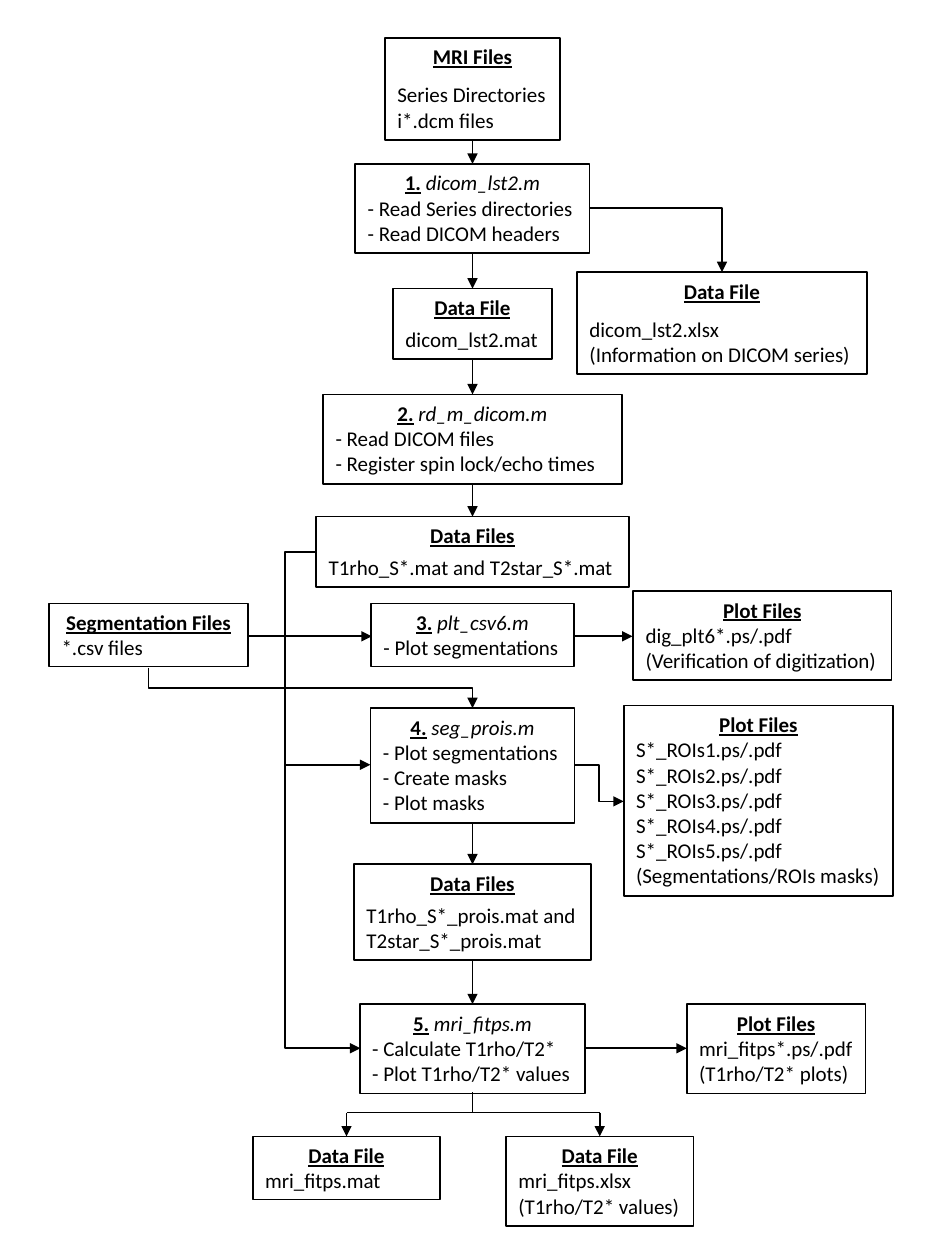
from pptx import Presentation
from pptx.dml.color import RGBColor
from pptx.enum.shapes import MSO_CONNECTOR as Link
from pptx.enum.text import MSO_ANCHOR, MSO_AUTO_SIZE, PP_ALIGN
from pptx.oxml.ns import qn
from pptx.util import Inches, Pt
from lxml.etree import SubElement

BLACK = RGBColor(0, 0, 0)
SPINE = 3.75
SMALL_GAP, WIDE_GAP = 3.7, 7.3

# heading, script name, lines, centre, top, width, height, gap after heading
MAIN_STEPS = [
    ("MRI Files", "", ["Series Directories", "i*.dcm files"], SPINE, 0.3, 1.39, 0.81, WIDE_GAP),
    ("1.", "dicom_lst2.m", ["- Read Series directories", "- Read DICOM headers"],
     SPINE, 1.3, 1.86, 0.71, 0),
    ("Data File", "", ["dicom_lst2.mat"], SPINE, 2.29, 1.26, 0.56, SMALL_GAP),
    ("2.", "rd_m_dicom.m", ["- Read DICOM files", "- Register spin lock/echo times"],
     SPINE, 3.13, 2.37, 0.71, 0),
    ("Data Files", "", ["T1rho_S*.mat and T2star_S*.mat"], SPINE, 4.1, 2.48, 0.56, SMALL_GAP),
    ("4.", "seg_prois.m", ["- Plot segmentations", "- Create masks", "- Plot masks"],
     SPINE, 5.62, 1.62, 0.91, 0),
    ("Data Files", "", ["T1rho_S*_prois.mat and", "T2star_S*_prois.mat"],
     SPINE, 6.86, 1.88, 0.76, SMALL_GAP),
    ("5.", "mri_fitps.m", ["- Calculate T1rho/T2*", "- Plot T1rho/T2* values"],
     SPINE, 7.97, 1.79, 0.71, 0),
]
SIDE_STEPS = [
    ("Data File", "", ["dicom_lst2.xlsx", "(Information on DICOM series)"],
     5.73, 2.16, 2.3, 0.81, WIDE_GAP),
    ("Segmentation Files", "", ["*.csv files"], 1.18, 4.79, 1.58, 0.5, 0),
    ("3.", "plt_csv6.m", ["- Plot segmentations"], SPINE, 4.79, 1.61, 0.5, 0),
    ("Plot Files", "", ["dig_plt6*.ps/.pdf", "(Verification of digitization)"],
     6.05, 4.69, 2.05, 0.71, 0),
    ("Plot Files", "", [f"S*_ROIs{n}.ps/.pdf" for n in range(1, 6)]
     + ["(Segmentations/ROIs masks)"], 6.02, 5.6, 2.14, 1.51, 0),
    ("Plot Files", "", ["mri_fitps*.ps/.pdf", "(T1rho/T2* plots)"], 6.16, 7.97, 1.42, 0.71, 0),
    ("Data File", "", ["mri_fitps.xlsx", "(T1rho/T2* values)"], 4.76, 9.02, 1.49, 0.71, 0),
    ("Data File", "", ["mri_fitps.mat"], 2.75, 9.02, 1.49, 0.5, 0),
]


def write(paragraph, text, bold=False, underline=False, italic=False):
    """Append one formatted run to a paragraph."""
    run = paragraph.add_run()
    run.text = text
    font = run.font
    font.name, font.size, font.color.rgb = "Calibri", Pt(12), BLACK
    font.bold, font.underline, font.italic = bold, underline, italic


def add_step(slide, heading, script, lines, centre, top, width, height, gap):
    """Add an outlined box with a centred heading and left-aligned lines."""
    step = slide.shapes.add_textbox(Inches(centre - width / 2), Inches(top),
                                    Inches(width), Inches(height))
    step.line.color.rgb, step.line.width = BLACK, Pt(1)
    frame = step.text_frame
    frame.word_wrap = False
    frame.auto_size = MSO_AUTO_SIZE.SHAPE_TO_FIT_TEXT
    frame.vertical_anchor = MSO_ANCHOR.TOP
    title = frame.paragraphs[0]
    title.alignment, title.space_after = PP_ALIGN.CENTER, Pt(gap)
    write(title, heading, bold=True, underline=True)
    if script:
        write(title, " " + script, italic=True)
    for line in lines:
        paragraph = frame.add_paragraph()
        paragraph.alignment = PP_ALIGN.LEFT
        write(paragraph, line)


def add_line(slide, start, end, kind=Link.STRAIGHT, arrow=True):
    """Add a black connector, with an arrowhead at its end by default."""
    link = slide.shapes.add_connector(kind, *map(Inches, start + end))
    link.line.color.rgb, link.line.width = BLACK, Pt(1)
    if arrow:
        SubElement(link.line._get_or_add_ln(), qn("a:tailEnd"), type="triangle")
    SubElement(link._element.spPr, qn("a:effectLst"))
    return link


def add_elbow(slide, start, end, preset="bentConnector3", bend=0.5):
    """Add an elbow arrow that leaves sideways; bend places its middle leg."""
    link = add_line(slide, start, end, Link.ELBOW)
    geometry = link._element.spPr.find(qn("a:prstGeom"))
    geometry.set("prst", preset)
    if bend != 0.5:
        guides = geometry.find(qn("a:avLst"))
        if guides is None:
            guides = SubElement(geometry, qn("a:avLst"))
        SubElement(guides, qn("a:gd"), name="adj1", fmla=f"val {round(bend * 100000)}")
    return link


def add_drop(slide, start, end):
    """Add an elbow arrow that leaves downward and ends downward."""
    link = add_elbow(slide, start, end)
    across, down = end[0] - start[0], end[1] - start[1]
    link.left = Inches((start[0] + end[0] - down) / 2)
    link.top = Inches((start[1] + end[1] - across) / 2)
    link.width, link.height = Inches(down), Inches(across)
    frame = link._element.spPr.find(qn("a:xfrm"))
    frame.set("rot", str(270 * 60000))
    frame.set("flipH", "1")


def add_links(slide):
    """Connect the steps of the flow."""
    for above, below in zip(MAIN_STEPS, MAIN_STEPS[1:]):
        if below[0] != "4.":
            add_line(slide, (SPINE, above[4] + above[6]), (SPINE, below[4]))

    plot_row, mask_row, fit_row, split_row = 5.05, 6.07, 8.32, 8.83
    bus = 2.26
    for left, right, row in [(1.97, 2.95, plot_row), (4.55, 5.02, plot_row),
                             (bus, 2.94, mask_row), (4.65, 5.45, fit_row)]:
        add_line(slide, (left, row), (right, row))

    add_elbow(slide, (4.68, 1.65), (5.73, 2.16), preset="bentConnector2")
    add_elbow(slide, (4.56, mask_row), (4.95, 6.36))
    add_elbow(slide, (2.51, 4.38), (2.86, fit_row), bend=(bus - 2.51) / 0.35)
    add_drop(slide, (1.18, 5.3), (SPINE, 5.62))

    add_line(slide, (SPINE, 8.67), (SPINE, split_row), arrow=False)
    for branch in (2.75, 4.76):
        add_line(slide, (SPINE, split_row), (branch, split_row), arrow=False)
        add_line(slide, (branch, split_row), (branch, 9.02))


def main():
    """Build the processing flow and save it."""
    deck = Presentation()
    deck.slide_width, deck.slide_height = Inches(7.5), Inches(10)
    slide = deck.slides.add_slide(deck.slide_layouts[6])
    for step in MAIN_STEPS + SIDE_STEPS:
        add_step(slide, *step)
    add_links(slide)
    deck.save("out.pptx")


main()
